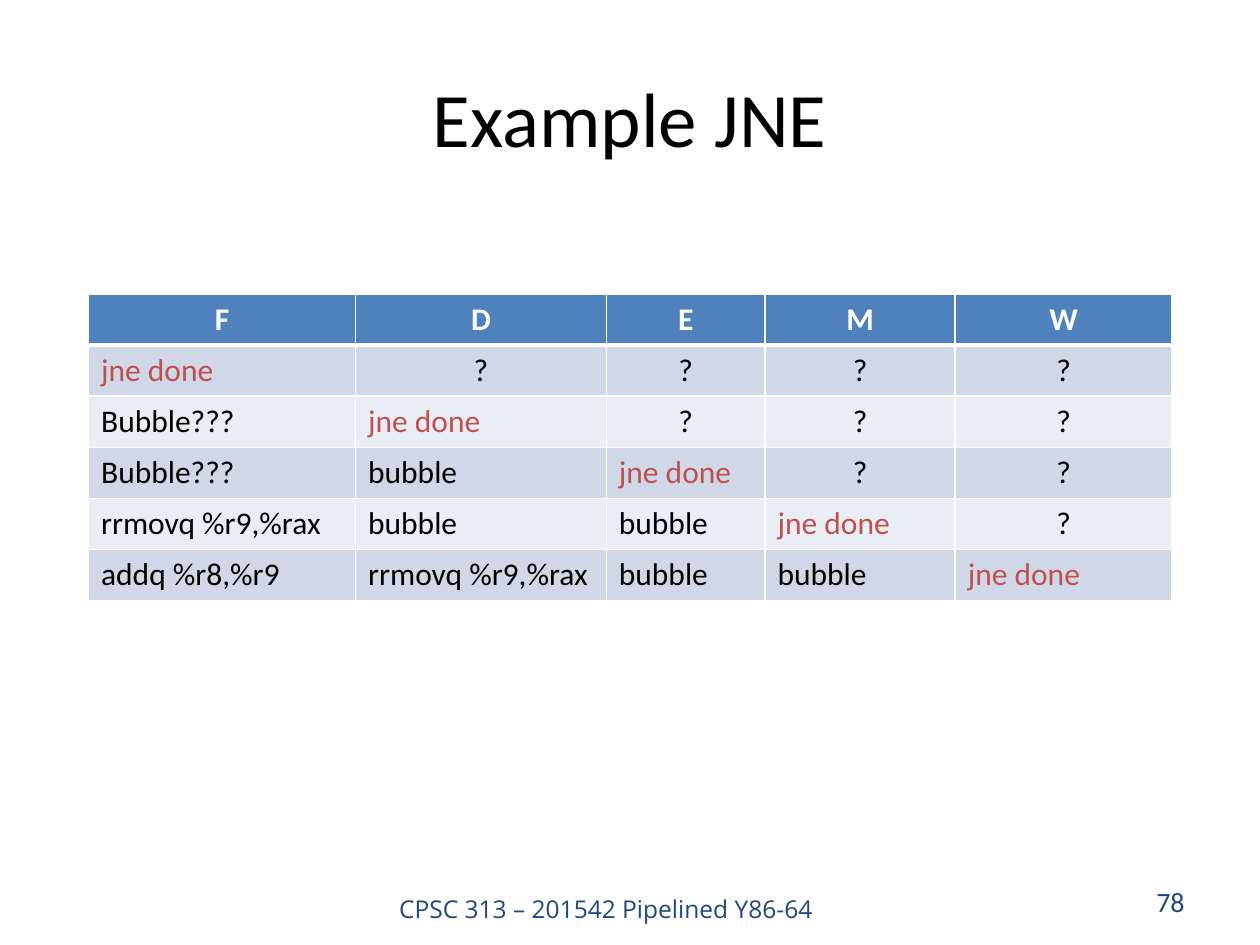
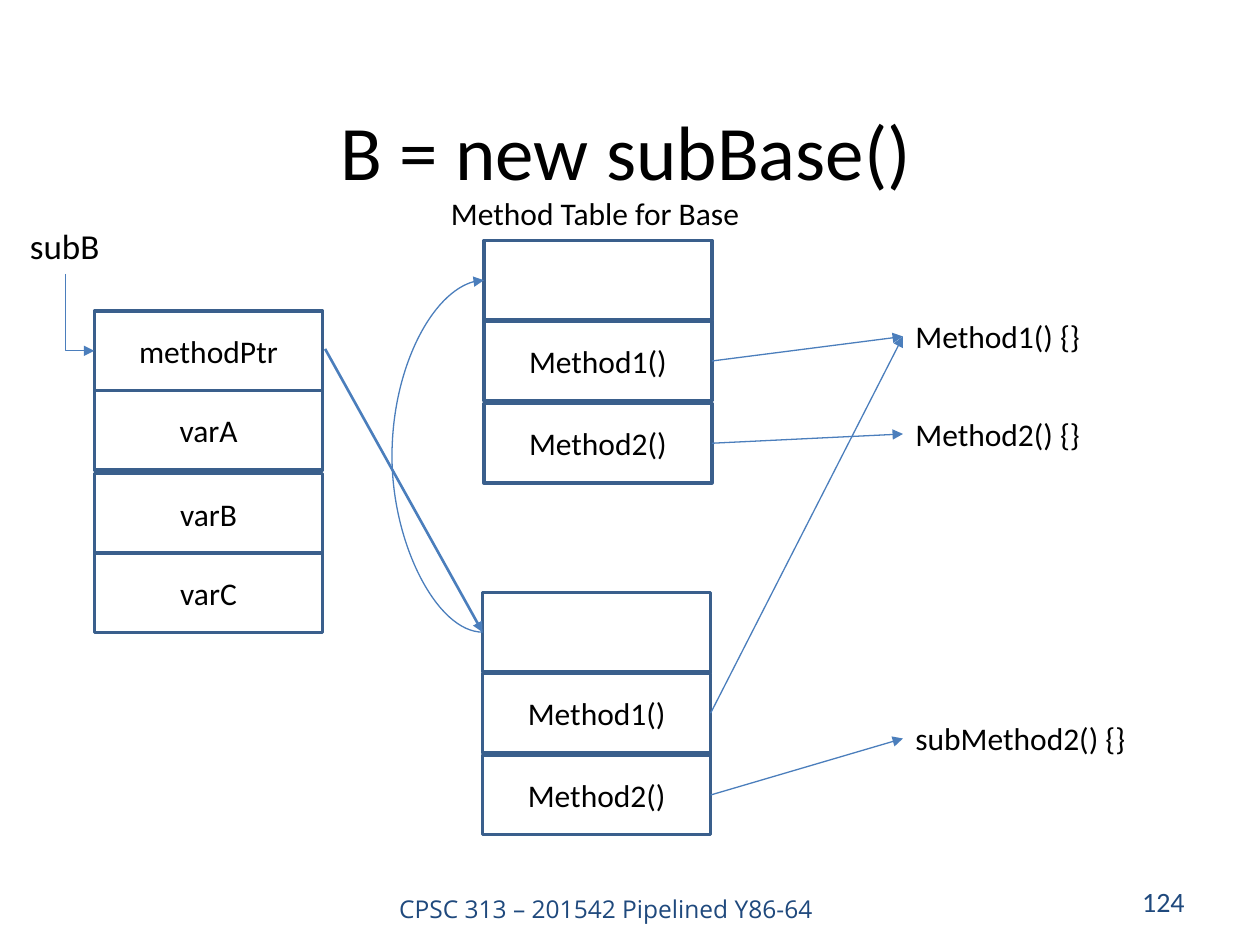
from pptx import Presentation
from pptx.dml.color import RGBColor
from pptx.enum.shapes import MSO_CONNECTOR, MSO_SHAPE
from pptx.enum.text import MSO_ANCHOR, PP_ALIGN
from pptx.oxml import parse_xml
from pptx.oxml.ns import nsdecls, qn
from pptx.util import Pt
from lxml.etree import SubElement

COLORS = {
    "text": "000000",
    "footer": "1F497D",
    "white": "FFFFFF",
    "header": "4F81BD",
    "odd_row": "D0D8E8",
    "even_row": "E9EDF4",
    "jump": "C0504D",
    "box_line": "3A5F8C",
    "arrow": "4B7EBC",
}


def write(frame, text, size, color="text", align=PP_ALIGN.LEFT, font="Calibri", bold=False):
    paragraph = frame.paragraphs[0]
    paragraph.alignment = align
    run = paragraph.add_run()
    run.text = text
    run.font.name = font
    run.font.size = Pt(size)
    run.font.bold = bold
    run.font.color.rgb = RGBColor.from_string(COLORS[color])


def add_arrow(slide, kind, start, end, width=0.75):
    arrow = slide.shapes.add_connector(kind, *[Pt(value) for value in (*start, *end)])
    arrow.line.color.rgb = RGBColor.from_string(COLORS["arrow"])
    arrow.line.width = Pt(width)
    SubElement(arrow.line._get_or_add_ln(), qn("a:tailEnd"), type="triangle")
    SubElement(arrow._element.spPr, qn("a:effectLst"))
    return arrow


presentation = Presentation()
presentation.slide_width = Pt(720)
presentation.slide_height = Pt(540)

slides = []
for title, number, left, top in [
    ("Example JNE", "78", 36, 21.6),
    ("B = new subBase()", "124", 33.84, 40.5),
]:
    slide = presentation.slides.add_slide(presentation.slide_layouts[6])
    slides.append(slide)
    for text, place, size, color, align, font, anchor in [
        ("CPSC 313 – 201542 Pipelined Y86-64", (206.64, 507.6, 279.36, 21.6),
         14, "footer", PP_ALIGN.CENTER, "Open Sans", MSO_ANCHOR.TOP),
        (title, (left, top, 648, 90), 44, "text", PP_ALIGN.CENTER, "Calibri", MSO_ANCHOR.MIDDLE),
        (number, (516, 500.5, 168, 28.8), 16, "footer", PP_ALIGN.RIGHT, "Calibri", MSO_ANCHOR.MIDDLE),
    ]:
        frame = slide.shapes.add_textbox(*[Pt(value) for value in place]).text_frame
        frame.word_wrap = True
        frame.vertical_anchor = anchor
        write(frame, text, size, color, align, font)

pipeline_slide, objects_slide = slides

pipeline = [
    ["F", "D", "E", "M", "W"],
    ["jne done", "?", "?", "?", "?"],
    ["Bubble???", "jne done", "?", "?", "?"],
    ["Bubble???", "bubble", "jne done", "?", "?"],
    ["rrmovq %r9,%rax", "bubble", "bubble", "jne done", "?"],
    ["addq %r8,%r9", "rrmovq %r9,%rax", "bubble", "bubble", "jne done"],
]
column_widths = [152.6, 143.3, 90.7, 108.7, 123.8]
row_height = 29.2
table = pipeline_slide.shapes.add_table(
    len(pipeline), len(column_widths), Pt(50.6), Pt(168),
    Pt(sum(column_widths)), Pt(row_height * len(pipeline)),
).table
for column, width in zip(table.columns, column_widths):
    column.width = Pt(width)
for row_index, stages in enumerate(pipeline):
    table.rows[row_index].height = Pt(row_height)
    is_header = row_index == 0
    fill = "header" if is_header else "odd_row" if row_index % 2 else "even_row"
    for column_index, text in enumerate(stages):
        cell = table.cell(row_index, column_index)
        properties = cell._tc.get_or_add_tcPr()
        for side in "LRTB":
            thick = (is_header and side == "B") or (row_index == 1 and side == "T")
            properties.append(parse_xml(
                f'<a:ln{side} {nsdecls("a")} w="{Pt(3 if thick else 1)}"><a:solidFill>'
                f'<a:srgbClr val="{COLORS["white"]}"/></a:solidFill></a:ln{side}>'
            ))
        cell.fill.solid()
        cell.fill.fore_color.rgb = RGBColor.from_string(COLORS[fill])
        color = "white" if is_header else "jump" if text == "jne done" else "text"
        align = PP_ALIGN.CENTER if is_header or text == "?" else PP_ALIGN.LEFT
        write(cell.text_frame, text, 18, color, align, bold=is_header)

box_width, box_height = 130.3, 45.4
stacks = {
    "object": (54, [(177.8, "methodPtr"), (223.2, "varA"), (270.7, "varB"), (316.1, "varC")]),
    "base": (276.5, [(137.5, ""), (183.6, "Method1()"), (230.6, "Method2()")]),
    "sub": (275.8, [(338.6, ""), (384.8, "Method1()"), (431.6, "Method2()")]),
}
boxes = {}
for stack, (left, rows) in stacks.items():
    boxes[stack] = []
    for top, text in rows:
        box = objects_slide.shapes.add_shape(
            MSO_SHAPE.RECTANGLE, Pt(left), Pt(top), Pt(box_width), Pt(box_height))
        box.shadow.inherit = False
        box.fill.background()
        box.line.color.rgb = RGBColor.from_string(COLORS["box_line"])
        box.line.width = Pt(2)
        box.text_frame.vertical_anchor = MSO_ANCHOR.MIDDLE
        if text:
            write(box.text_frame, text, 18, align=PP_ALIGN.CENTER)
        boxes[stack].append(box)

labels = {}
for text, left, top, width, height, size in [
    ("subB", 10, 124.6, 54.7, 31.5, 20),
    ("Method Table for Base", 250.6, 107.3, 181.4, 29, 18),
    ("Method1() {}", 516, 177.8, 109.4, 29, 18),
    ("Method2() {}", 516, 233.5, 109.4, 29, 18),
    ("subMethod2() {}", 516, 407.5, 136, 29, 18),
]:
    label = objects_slide.shapes.add_textbox(Pt(left), Pt(top), Pt(width), Pt(height))
    label.text_frame.word_wrap = False
    write(label.text_frame, text, size)
    labels[text] = label

for stack, index, target in [
    ("base", 1, "Method1() {}"),
    ("base", 2, "Method2() {}"),
    ("sub", 1, "Method1() {}"),
    ("sub", 2, "subMethod2() {}"),
]:
    arrow = add_arrow(objects_slide, MSO_CONNECTOR.STRAIGHT, (406, 200), (516, 200))
    arrow.begin_connect(boxes[stack][index], 3)
    arrow.end_connect(labels[target], 1)

table_arrow = add_arrow(objects_slide, MSO_CONNECTOR.STRAIGHT, (185.8, 199.4), (275.8, 361.3), 1.5)
table_arrow.end_connect(boxes["sub"][0], 1)

pointer_arrow = add_arrow(objects_slide, MSO_CONNECTOR.ELBOW, (23.6, 170.2), (67.6, 186.8))
pointer_arrow._element.spPr.prstGeom.set("prst", "bentConnector2")
pointer_arrow._element.spPr.xfrm.set("rot", str(270 * 60000))
pointer_arrow._element.spPr.xfrm.set("flipH", "1")

parent_arrow = add_arrow(objects_slide, MSO_CONNECTOR.CURVE, (275.8, 361.3), (276.5, 160.2))
bulge = round((224.6 - 275.8) / (276.5 - 275.8) * 100000)
adjustments = parent_arrow._element.spPr.prstGeom.get_or_add_avLst()
SubElement(adjustments, qn("a:gd"), name="adj1", fmla=f"val {bulge}")

presentation.save("out.pptx")
